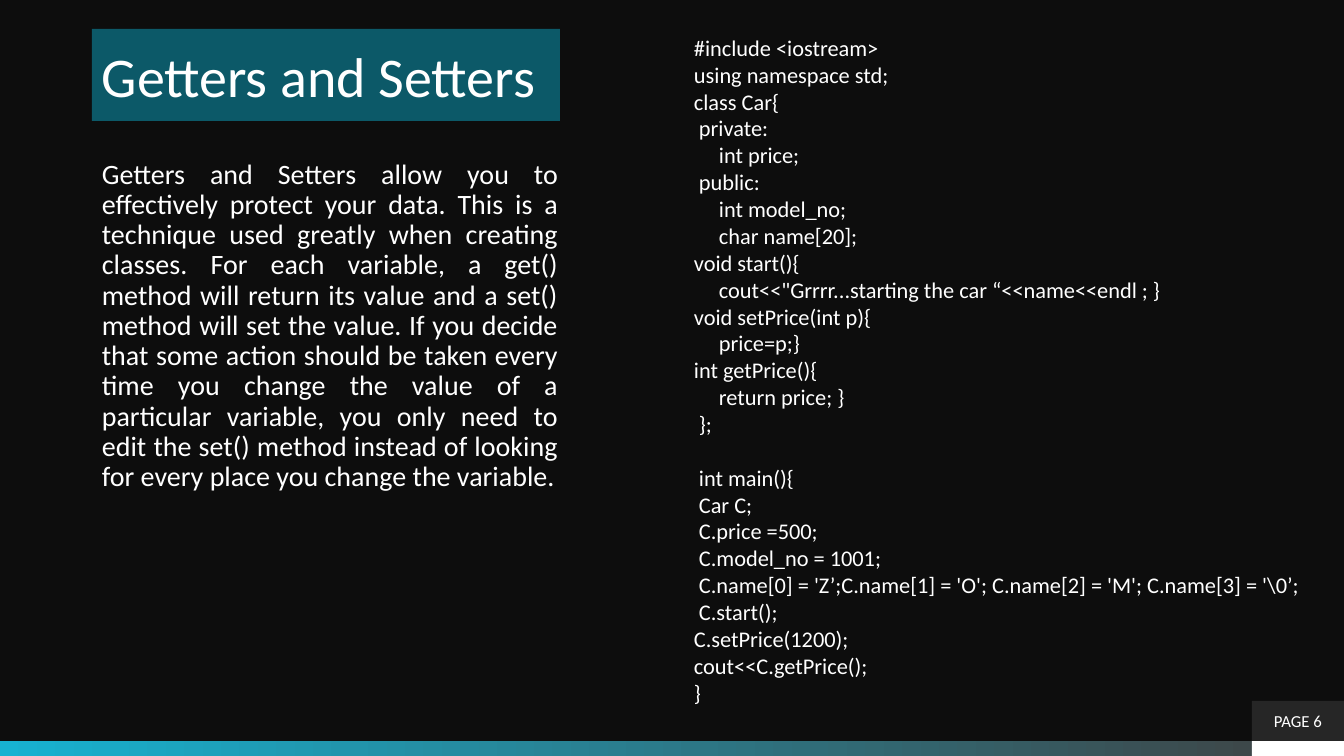
from pptx import Presentation
from pptx.dml.color import RGBColor
from pptx.enum.shapes import MSO_SHAPE
from pptx.enum.text import MSO_ANCHOR, PP_ALIGN
from pptx.util import Pt

RECTANGLE = MSO_SHAPE.RECTANGLE
TOP, MIDDLE = MSO_ANCHOR.TOP, MSO_ANCHOR.MIDDLE
LEFT, CENTER, JUSTIFY = PP_ALIGN.LEFT, PP_ALIGN.CENTER, PP_ALIGN.JUSTIFY

EMU_PER_PX = 914400 / 100.8
SLIDE_WIDTH, SLIDE_HEIGHT = 1344, 756
INDENT_PX = 5
CODE_LINE_POINTS = 19.2

THEME = {
    "font": "Calibri",
    "background": "0D0D0D",
    "title_fill": "0C5968",
    "page_fill": "262626",
    "text": "FFFFFF",
    "accent": "17B2D1",
    "accent_end": "404040",
    "title_size": 40,
    "body_size": 20,
    "code_size": 16,
    "page_size": 12,
}

EXPLANATION = (
    "Getters and Setters allow you to effectively protect your data. "
    "This is a technique used greatly when creating classes. "
    "For each variable, a get() method will return its value and a set() method will set the value. "
    "If you decide that some action should be taken every time you change the value of a "
    "particular variable, you only need to edit the set() method instead of looking "
    "for every place you change the variable."
)

CODE = r"""#include <iostream>
using namespace std;
class Car{
 private:
     int price;
 public:
     int model_no;
     char name[20];
void start(){
     cout<<"Grrrr...starting the car “<<name<<endl ; }
void setPrice(int p){
     price=p;}
int getPrice(){
     return price; }
 };

 int main(){
 Car C;
 C.price =500;
 C.model_no = 1001;
 C.name[0] = 'Z’;C.name[1] = 'O'; C.name[2] = 'M'; C.name[3] = '\0’;
 C.start();
C.setPrice(1200);
cout<<C.getPrice();
}"""


def px(value):
    return round(value * EMU_PER_PX)


def add_box(left, top, width, height, text="", fill=None, size=None,
            align=LEFT, anchor=TOP, line_spacing=None):
    """Leading spaces become indents; an empty line becomes space before the next one."""
    area = [px(value) for value in (left, top, width, height)]
    if fill:
        shape = slide.shapes.add_shape(RECTANGLE, *area)
        shape.shadow.inherit = False
        shape.fill.solid()
        shape.fill.fore_color.rgb = RGBColor.from_string(fill)
        shape.line.fill.background()
    else:
        shape = slide.shapes.add_textbox(*area)
    frame = shape.text_frame
    frame.word_wrap = True
    frame.vertical_anchor = anchor
    paragraph, gap = frame.paragraphs[0], False
    for number, line in enumerate(text.splitlines()):
        content = line.lstrip()
        if not content:
            gap = True
            continue
        if number:
            paragraph = frame.add_paragraph()
        paragraph.alignment = align
        paragraph.line_spacing = line_spacing
        indent = len(line) - len(content)
        if indent:
            properties = paragraph._p.get_or_add_pPr()
            properties.set("marL", str(px(indent * INDENT_PX)))
            properties.set("indent", "0")
        if gap:
            paragraph.space_before = Pt(CODE_LINE_POINTS)
            gap = False
        run = paragraph.add_run()
        run.text = content
        run.font.name = THEME["font"]
        run.font.size = Pt(size)
        run.font.color.rgb = RGBColor.from_string(THEME["text"])
    return shape


presentation = Presentation()
presentation.slide_width = px(SLIDE_WIDTH)
presentation.slide_height = px(SLIDE_HEIGHT)
slide = presentation.slides.add_slide(presentation.slide_layouts[6])
slide.background.fill.solid()
slide.background.fill.fore_color.rgb = RGBColor.from_string(THEME["background"])

# Footer strip
footer = add_box(0, 741, SLIDE_WIDTH, 15, fill=THEME["accent"])
footer.fill.gradient()
footer.fill.gradient_angle = 0
for stop, color, position in zip(footer.fill.gradient_stops,
                                 (THEME["accent"], THEME["accent_end"]), (0, 1)):
    stop.color.rgb = RGBColor.from_string(color)
    stop.position = position
add_box(1252, 741, 92, 15, fill=THEME["text"])

# Title and explanation
add_box(92, 29, 468, 92, "Getters and Setters", fill=THEME["title_fill"],
        size=THEME["title_size"], anchor=MIDDLE)
add_box(92, 155, 476, 480, EXPLANATION, size=THEME["body_size"],
        align=JUSTIFY, line_spacing=0.9)

# Page number and code listing
add_box(1252, 701, 92, 40, "PAGE 6", fill=THEME["page_fill"],
        size=THEME["page_size"], align=CENTER, anchor=MIDDLE)
add_box(684, 29, 642, 688, CODE, size=THEME["code_size"])

presentation.save("out.pptx")
